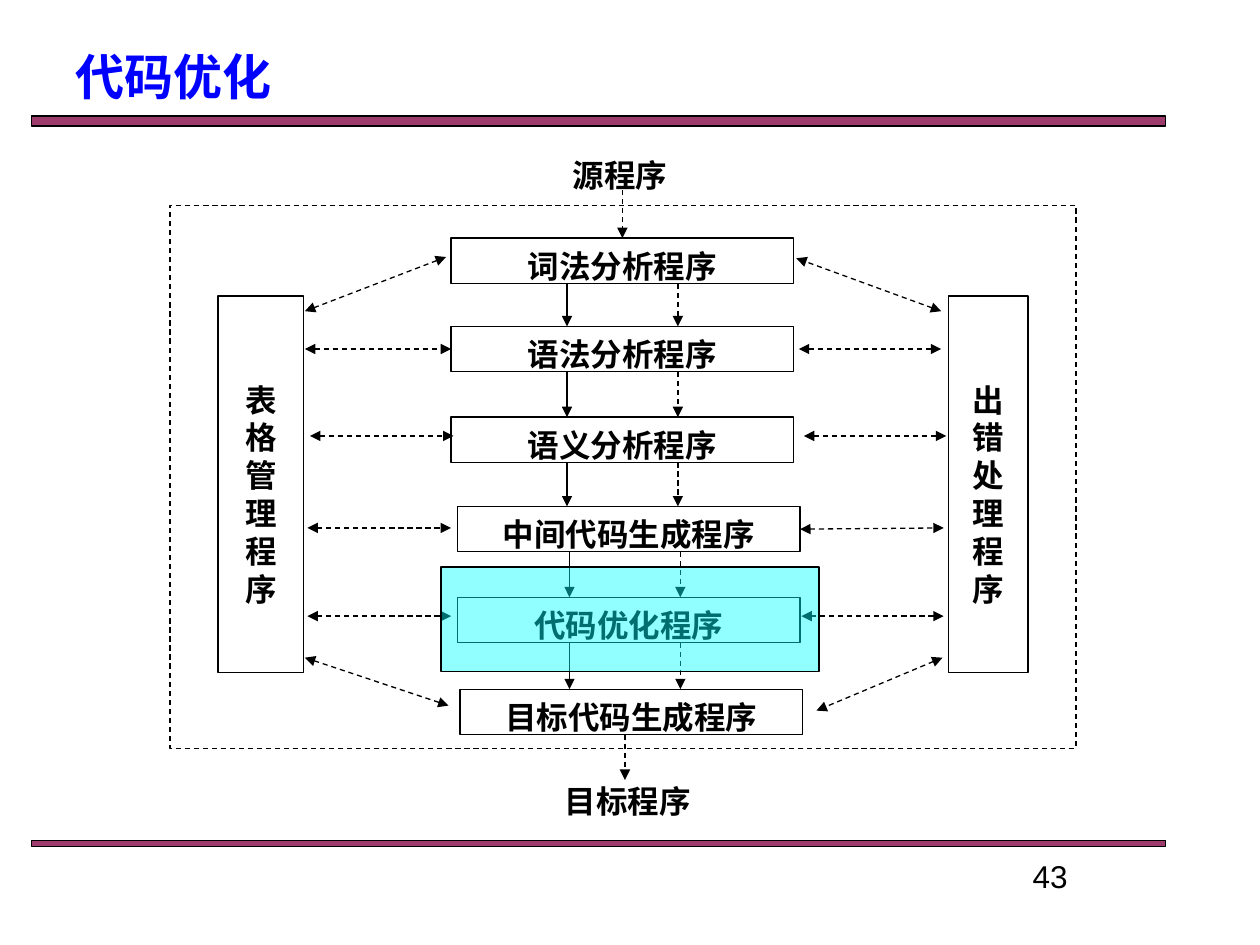
import pptx
import pptx.util
import pptx.dml.color
import pptx.enum.dml
import pptx.enum.shapes
import pptx.enum.text
import pptx.oxml
import pptx.oxml.ns
from dataclasses import dataclass

Inches, Pt = pptx.util.Inches, pptx.util.Pt
RGB = pptx.dml.color.RGBColor.from_string
ALIGN = pptx.enum.text.PP_ALIGN
ANCHOR = pptx.enum.text.MSO_ANCHOR
TOP, LEFT, RIGHT = 0, 1, 3


@dataclass(frozen=True)
class Theme:
    ink: str = "000000"
    paper: str = "FFFFFF"
    bar: str = "993366"
    highlight: str = "00FFFF"
    title: str = "0000FF"
    title_size: int = 28
    text_size: int = 18
    line_pitch: float = 21.6
    line_width: float = 0.75
    serif: str = "Times New Roman"
    sans: str = "Arial"
    cjk: str = "Noto Sans CJK SC"


def add_xml(parent, tag, **attrs):
    el = pptx.oxml.parse_xml(f'<a:{tag} {pptx.oxml.ns.nsdecls("a")}/>')
    for key, value in attrs.items():
        el.set(key, value)
    parent.append(el)


class Deck:
    def __init__(self, theme):
        self.theme = theme
        self.prs = pptx.Presentation()
        self.prs.slide_width, self.prs.slide_height = Inches(10), Inches(7.5)
        self.s = self.prs.slides.add_slide(self.prs.slide_layouts[5])

    def fill_text(self, tf, text, top=0.05, align=ALIGN.CENTER, pitch=None, **font):
        """Fill a frame with one paragraph; font overrides the body format."""
        t = self.theme
        color = RGB(font.pop("color", t.ink))
        tf.word_wrap = True
        tf.margin_top = Inches(top)
        p = tf.paragraphs[0]
        p.alignment = align
        if pitch:
            p.line_spacing = Pt(pitch)
        r = p.add_run()
        r.text = text
        for key, value in {"name": t.serif, "size": Pt(t.text_size), "bold": True, **font}.items():
            setattr(r.font, key, value)
        r.font.color.rgb = color
        add_xml(r.font._element, "ea", typeface=t.cjk)

    def title(self, text, x, y, w, h):
        sp = self.s.shapes.title
        sp.left, sp.top, sp.width, sp.height = map(Inches, (x, y, w, h))
        sp.text_frame.vertical_anchor = ANCHOR.MIDDLE
        self.fill_text(sp.text_frame, text, align=ALIGN.LEFT, name=self.theme.cjk,
                       size=Pt(self.theme.title_size), color=self.theme.title)

    def label(self, text, x, y, w, h, **style):
        sp = self.s.shapes.add_textbox(*map(Inches, (x, y, w, h)))
        self.fill_text(sp.text_frame, text, **style)

    def box(self, x, y, w, h, fill=None, alpha=None, dashed=False, text=None, top=0.07):
        sp = self.s.shapes.add_shape(pptx.enum.shapes.MSO_SHAPE.RECTANGLE,
                                     *map(Inches, (x, y, w, h)))
        sp.shadow.inherit = False
        if fill:
            sp.fill.solid()
            sp.fill.fore_color.rgb = RGB(fill)
        else:
            sp.fill.background()
        if alpha:
            clr = sp._element.spPr.find(".//" + pptx.oxml.ns.qn("a:srgbClr"))
            add_xml(clr, "alpha", val=str(alpha * 1000))
        self.stroke(sp.line, dashed)
        if text:
            sp.text_frame.vertical_anchor = ANCHOR.TOP
            self.fill_text(sp.text_frame, text, top, pitch=self.theme.line_pitch)
        return sp

    def stroke(self, line, dashed):
        line.color.rgb = RGB(self.theme.ink)
        line.width = Pt(self.theme.line_width)
        if dashed:
            line.dash_style = pptx.enum.dml.MSO_LINE.DASH

    def arrow(self, x1, y1, x2, y2, dashed=True, both=False, begin=None, end=None):
        """begin and end are optional (shape, side) joints."""
        c = self.s.shapes.add_connector(pptx.enum.shapes.MSO_CONNECTOR.STRAIGHT,
                                        *map(Inches, (x1, y1, x2, y2)))
        self.stroke(c.line, dashed)
        ln = c.line._get_or_add_ln()
        if both:
            add_xml(ln, "headEnd", type="triangle")
        add_xml(ln, "tailEnd", type="triangle")
        add_xml(c._element.spPr, "effectLst")
        if begin:
            c.begin_connect(*begin)
        if end:
            c.end_connect(*end)


PHASE_W, PHASE_H = 2.72, 0.36
PHASES = [
    ("词法分析程序", 3.58, 1.89),
    ("语法分析程序", 3.58, 2.59),
    ("语义分析程序", 3.58, 3.31),
    ("中间代码生成程序", 3.63, 4.02),
    ("代码优化程序", 3.63, 4.74),
    ("目标代码生成程序", 3.65, 5.47),
]
SIDES = [("表格管理程序", 1.73, 0.68), ("出错处理程序", 7.53, 0.63)]
SLANTED = [
    (2.42, 2.47, 3.54, 2.04),
    (2.42, 5.22, 3.56, 5.6),
    (7.47, 2.47, 6.32, 2.05),
    (7.48, 5.22, 6.48, 5.64),
]
LEVEL = [(2.77, 0), (3.46, 0.04), (4.19, 0.02), (4.89, 0.02)]  # height, shift right


def main():
    t = Theme()
    deck = Deck(t)
    for y, h in ((0.92, 0.08), (6.67, 0.05)):
        deck.box(0.25, y, 9, h, fill=t.bar, alpha=96)

    for text, x, y in (("源程序", 3.56, 1.17), ("目标程序", 3.62, 6.14)):
        deck.label(text, x, y, PHASE_W, PHASE_H, top=0.07, pitch=t.line_pitch)
    boxes = [deck.box(x, y, PHASE_W, PHASE_H, fill=t.paper, text=text)
             for text, x, y in PHASES]
    for text, x, w in SIDES:
        deck.box(x, 2.35, w, 2.99, fill=t.paper, text=text, top=0.67)

    deck.arrow(4.94, 1.51, 4.94, 1.89, end=(boxes[0], TOP))
    deck.arrow(4.96, 5.83, 4.96, 6.19)
    for i, ((_, _, y1), (_, _, y2)) in enumerate(zip(PHASES, PHASES[1:])):
        shift = 0.02 if i >= 3 else 0
        for x, dashed in ((4.5, False), (5.38, True)):
            deck.arrow(x + shift, y1 + PHASE_H, x + shift, y2, dashed)

    for ends in SLANTED:
        deck.arrow(*ends, both=True)
    left_joints = {0: (boxes[1], LEFT)}
    right_joints = {2: (boxes[3], RIGHT)}
    for i, (y, shift) in enumerate(LEVEL):
        deck.arrow(2.42 + shift, y, 3.56 + shift, y, both=True, end=left_joints.get(i))
        deck.arrow(6.34 + shift, y, 7.47 + shift, y, both=True, begin=right_joints.get(i))

    deck.box(1.35, 1.63, 7.19, 4.31, dashed=True)
    deck.box(3.5, 4.5, 3, 0.83, fill=t.highlight, alpha=43)
    deck.title("代码优化", 0.5, 0.42, 9, 0.37)
    deck.label("43", 7.17, 6.75, 2.33, 0.42, name=t.sans, bold=False)
    deck.prs.save("out.pptx")


if __name__ == "__main__":
    main()
